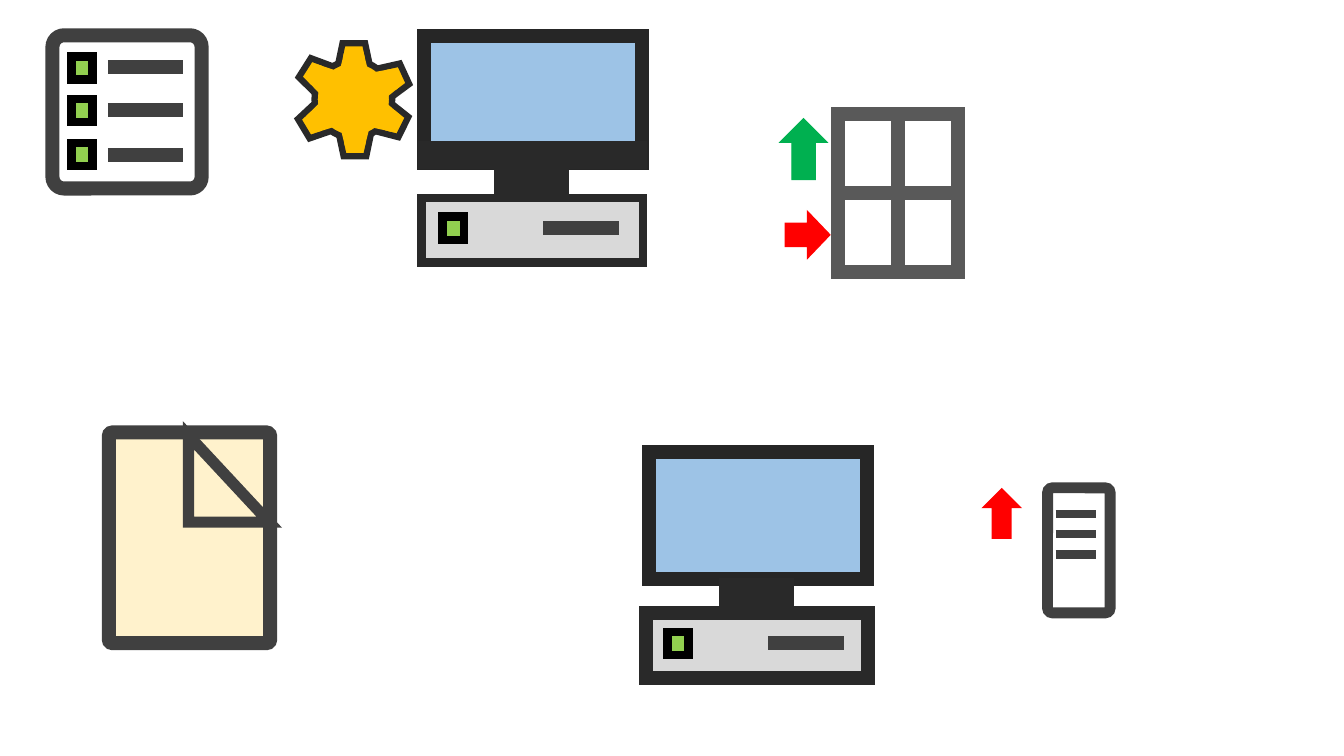
import math
from lxml import etree
from pptx import Presentation
from pptx.dml.color import RGBColor
from pptx.enum.shapes import MSO_CONNECTOR, MSO_SHAPE
from pptx.oxml.ns import qn
from pptx.util import Inches, Pt

RECT, ROUND = MSO_SHAPE.RECTANGLE, MSO_SHAPE.ROUNDED_RECTANGLE
TRAPEZOID, UP_ARROW = MSO_SHAPE.TRAPEZOID, MSO_SHAPE.UP_ARROW
ELLIPSE, TRIANGLE = MSO_SHAPE.OVAL, MSO_SHAPE.RIGHT_TRIANGLE
STRAIGHT = MSO_CONNECTOR.STRAIGHT

DARK, BLACK, GRAY, FRAME = "292929", "262626", "404040", "595959"
WHITE, CREAM, GOLD, SCREEN = "FFFFFF", "FFF2CC", "FFC000", "9DC3E6"
CASE, LIGHT, GREEN, RED = "D9D9D9", "92D050", "00B050", "FF0000"

# Checklist rows: line height, lamp top
CHECK_ROWS = [(0.66, 0.56), (1.09, 0.98), (1.54, 1.42)]
# Computers: screen left, screen top, case outline width
COMPUTERS = [(4.21, 0.36, 6), (6.44, 4.48, 10)]
# Gear teeth: centre x, centre y, rotation
TEETH = [(3.51, 0.52, 0), (3.52, 1.46, 180), (3.93, 0.77, 65.4),
         (3.92, 1.22, 116.5), (3.1, 0.72, 302.5), (3.09, 1.23, 239)]
ROOT_DEPTH = 0.095
# Arrows: left, top, width, height, colour, rotation
ARROWS = [(7.74, 1.18, 0.46, 0.6, GREEN, 0),
          (7.78, 2.11, 0.46, 0.44, RED, 90),
          (9.75, 4.85, 0.37, 0.49, RED, 0)]
SERVER_LINES = [5.1, 5.3, 5.5]


def rgb(value):
    return RGBColor.from_string(value)


def outline(shape, color, width):
    shape.line.color.rgb = rgb(color)
    shape.line.width = Pt(width)


def box(parent, kind, x, y, w, h, fill, color, width, adj=None, rot=0):
    sp = parent.shapes.add_shape(kind, Inches(x), Inches(y), Inches(w), Inches(h))
    sp.shadow.inherit = False
    if fill:
        sp.fill.solid()
        sp.fill.fore_color.rgb = rgb(fill)
    else:
        sp.fill.background()
    outline(sp, color, width)
    miter = etree.SubElement(sp.line._get_or_add_ln(), qn("a:miter"))
    miter.set("lim", "800000")
    if adj is not None:
        sp.adjustments[0] = adj
    sp.rotation = rot
    return sp


def line(parent, x1, y1, x2, y2, color, width):
    cn = parent.shapes.add_connector(STRAIGHT, Inches(x1), Inches(y1),
                                     Inches(x2), Inches(y2))
    outline(cn, color, width)
    etree.SubElement(cn._element.spPr, qn("a:effectLst"))
    return cn


def lamp(parent, x, y):
    box(parent, RECT, x, y, 0.21, 0.23, LIGHT, "000000", 6)


def computer(s, x, y, case_width):
    grp = s.shapes.add_group_shape()
    box(grp, ROUND, x, y, 2.16, 1.26, SCREEN, BLACK, 10, adj=0)
    box(grp, RECT, x - 0.03, y + 1.605, 2.2, 0.64, CASE, DARK, case_width)
    lamp(grp, x + 0.18, y + 1.79)
    line(grp, x + 1.18, y + 1.9, x + 1.93, y + 1.9, GRAY, 10)
    box(grp, RECT, x + 0.7, y + 1.26, 0.73, 0.36, DARK, DARK, 1)


def gear(s):
    grp = s.shapes.add_group_shape()
    box(grp, ELLIPSE, 3.12, 0.6, 0.77, 0.77, GOLD, DARK, 4.5)
    for cx, cy, rot in TEETH:
        box(grp, TRAPEZOID, cx - 0.15, cy - 0.09, 0.3, 0.18, GOLD, DARK, 4.5,
            adj=0.212, rot=rot)
        # The root covers the outline between tooth and hub
        angle = math.radians(rot)
        rx = cx - ROOT_DEPTH * math.sin(angle)
        ry = cy + ROOT_DEPTH * math.cos(angle)
        box(grp, TRAPEZOID, rx - 0.135, ry - 0.09, 0.27, 0.18, GOLD, GOLD, 1,
            rot=rot)


def main():
    prs = Presentation()
    prs.slide_width, prs.slide_height = Inches(13.33), Inches(7.5)
    s = prs.slides.add_slide(prs.slide_layouts[6])

    # Checklist
    box(s, ROUND, 0.52, 0.35, 1.48, 1.52, WHITE, GRAY, 10, adj=0.078)
    for line_y, lamp_y in CHECK_ROWS:
        line(s, 1.07, line_y, 1.82, line_y, GRAY, 10)
        lamp(s, 0.71, lamp_y)

    # Computers, the first with a thick lower bezel
    for x, y, case_width in COMPUTERS:
        computer(s, x, y, case_width)
    box(s, RECT, 4.15, 1.41, 2.26, 0.26, DARK, DARK, 1)

    gear(s)

    # Window with joined crossbars
    window = box(s, RECT, 8.31, 1.13, 1.19, 1.57, None, FRAME, 10)
    for start, end in [(0, 2), (3, 1)]:
        bar = line(s, 8.31, 1.13, 9.5, 2.7, FRAME, 10)
        bar.begin_connect(window, start)
        bar.end_connect(window, end)

    # Arrows
    for x, y, w, h, color, rot in ARROWS:
        box(s, UP_ARROW, x, y, w, h, color, color, 1, rot=rot)

    # Document with folded corner
    box(s, ROUND, 1.08, 4.29, 1.6, 2.09, CREAM, GRAY, 10, adj=0.023)
    box(s, TRIANGLE, 1.87, 4.32, 0.8, 0.86, CREAM, GRAY, 8)

    # Server
    server = s.shapes.add_group_shape()
    box(server, ROUND, 10.39, 4.84, 0.62, 1.24, WHITE, GRAY, 7.75, adj=0.078)
    for y in SERVER_LINES:
        line(server, 10.47, y, 10.87, y, GRAY, 6)

    prs.save("out.pptx")


if __name__ == "__main__":
    main()
